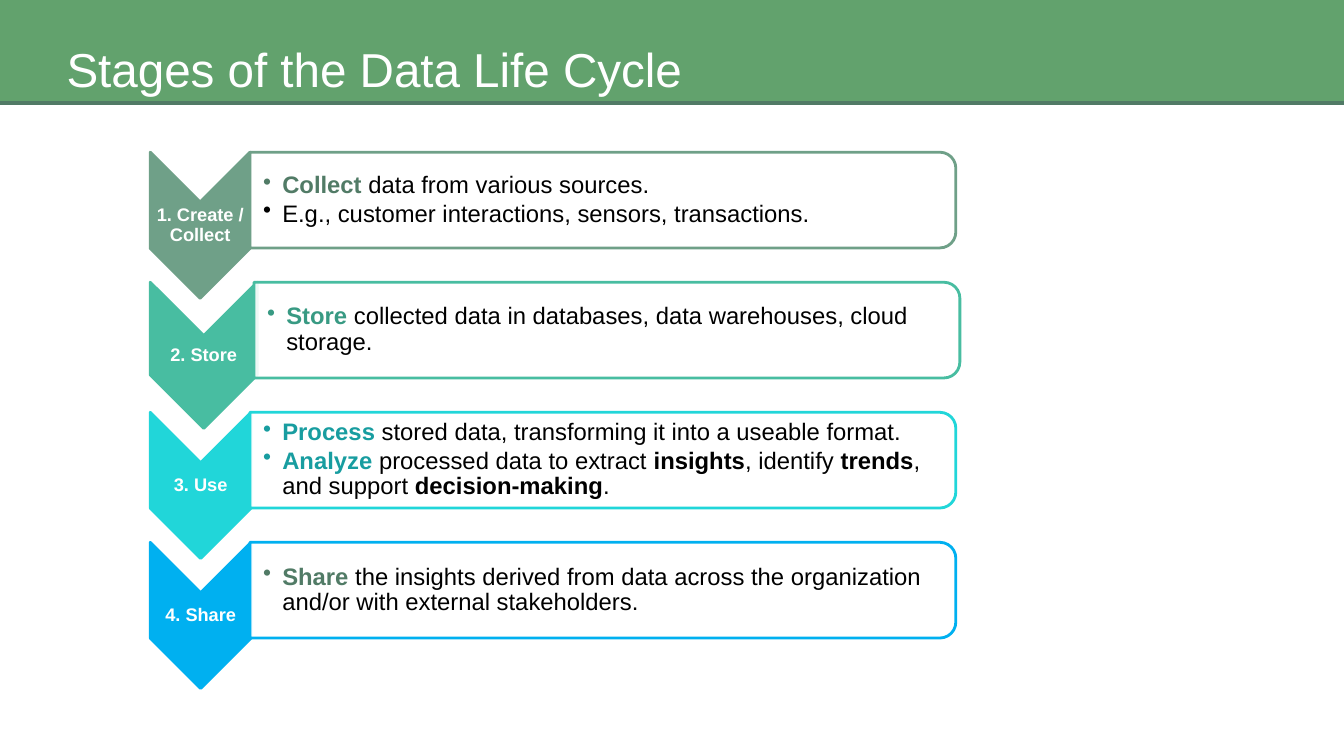
import pptx
import pptx.dml.color
import pptx.enum.shapes
import pptx.enum.text
import pptx.oxml
import pptx.oxml.ns
import pptx.util
import lxml.etree

Inches = pptx.util.Inches
Pt = pptx.util.Pt
RGBColor = pptx.dml.color.RGBColor
SHAPE = pptx.enum.shapes.MSO_SHAPE
qn = pptx.oxml.ns.qn

WHITE = RGBColor(0xFF, 0xFF, 0xFF)
BLACK = RGBColor(0x00, 0x00, 0x00)
HEADER_GREEN = RGBColor(0x62, 0xA2, 0x6D)
RULE_GREEN = RGBColor(0x51, 0x7A, 0x66)
SAGE = RGBColor(0x6F, 0xA0, 0x88)
MINT = RGBColor(0x48, 0xBD, 0xA1)
AQUA = RGBColor(0x21, 0xD6, 0xD9)
SKY = RGBColor(0x00, 0xB0, 0xF0)
DARK_SAGE = RGBColor(0x51, 0x7B, 0x66)
DARK_MINT = RGBColor(0x38, 0x9A, 0x83)
DARK_AQUA = RGBColor(0x18, 0x9D, 0xA0)

FIRST_TOP, STAGE_PITCH = 1.51, 1.29
CHEVRON_LEFT, CHEVRON_HEIGHT = 1.49, 1.45
CARD_WIDTH, CARD_HEIGHT = 7, 0.95

STAGES = [
    ("1. Create / Collect", SAGE, 0.99, [
        [("Collect", DARK_SAGE), (" data from various sources.", None)],
        [("E.g., customer interactions, sensors, transactions.", None)],
    ]),
    ("2. Store", MINT, 1.06, [
        [("Store", DARK_MINT),
         (" collected data in databases, data warehouses, cloud storage.", None)],
    ]),
    ("3. Use", AQUA, 1, [
        [("Process", DARK_AQUA),
         (" stored data, transforming it into a useable format.", None)],
        [("Analyze", DARK_AQUA), (" processed data to extract ", None),
         ("insights", BLACK), (", identify ", None), ("trends", BLACK),
         (", and support ", None), ("decision-making", BLACK), (".", None)],
    ]),
    ("4. Share", SKY, 1, [
        [("Share", DARK_SAGE),
         (" the insights derived from data across the organization"
          " and/or with external stakeholders.", None)],
    ]),
]


def add_text_box(page, left, top, width, height, inset=0.01, left_inset=None):
    box = page.shapes.add_textbox(
        Inches(left), Inches(top), Inches(width), Inches(height))
    frame = box.text_frame
    frame.word_wrap = True
    frame.vertical_anchor = pptx.enum.text.MSO_ANCHOR.MIDDLE
    frame.margin_top = frame.margin_right = frame.margin_bottom = Inches(inset)
    frame.margin_left = Inches(inset if left_inset is None else left_inset)
    return frame


def add_span(para, text, size, color, bold=False):
    span = para.add_run()
    span.text = text
    span.font.name = "Arial"
    span.font.size = Pt(size)
    span.font.bold = bold
    span.font.color.rgb = color


def add_filled_shape(page, kind, left, top, width, height, fill):
    shape = page.shapes.add_shape(
        kind, Inches(left), Inches(top), Inches(width), Inches(height))
    shape.shadow.inherit = False
    shape.fill.solid()
    shape.fill.fore_color.rgb = fill
    shape.line.fill.background()
    return shape


def add_turned_shape(page, kind, left, top, width, height, fill, line):
    shift = (width - height) / 2
    shape = add_filled_shape(
        page, kind, left + shift, top - shift, height, width, fill)
    shape.rotation = 90
    shape.line.color.rgb = line
    shape.line.width = Pt(2)
    return shape


def make_bullet(para):
    properties = para._p.get_or_add_pPr()
    properties.set("lvl", "1")
    properties.set("marL", str(Inches(0.19)))
    properties.set("indent", str(-Inches(0.19)))
    lxml.etree.SubElement(properties, qn("a:buChar")).set("char", "•")


def add_header(page, left, top, width, height):
    add_filled_shape(page, SHAPE.RECTANGLE, left, top, width, height, HEADER_GREEN)
    bottom = Inches(top + height - 0.01)
    rule = page.shapes.add_connector(
        pptx.enum.shapes.MSO_CONNECTOR.STRAIGHT,
        Inches(left), bottom, Inches(left + width), bottom)
    rule.line.color.rgb = RULE_GREEN
    rule.line.width = Pt(3.25)
    lxml.etree.SubElement(rule._element.spPr, qn("a:effectLst"))
    title = add_text_box(page, left + 0.72, top + 0.41, 12.01, 0.69, inset=0)
    add_span(title.paragraphs[0], "Stages of the Data Life Cycle", 34, WHITE)


def add_chevron(page, left, top, width, height, label, color):
    add_turned_shape(page, SHAPE.CHEVRON, left, top, width, height, color, color)
    frame = add_text_box(page, left, top + width / 2, width, height - width)
    para = frame.paragraphs[0]
    para.alignment = pptx.enum.text.PP_ALIGN.CENTER
    para.line_spacing = 0.9
    add_span(para, label, 13, WHITE, True)


def add_card(page, left, top, width, height, points, color):
    card = add_turned_shape(page, SHAPE.ROUND_2_SAME_RECTANGLE,
                            left, top, width, height, WHITE, color)
    white = card._element.spPr.find(qn("a:solidFill"))[0]
    lxml.etree.SubElement(white, qn("a:alpha")).set("val", "90000")
    frame = add_text_box(page, left, top + 0.05, width - 0.04, height - 0.1,
                         left_inset=0.13)
    for index, point in enumerate(points):
        para = frame.add_paragraph() if index else frame.paragraphs[0]
        make_bullet(para)
        para.line_spacing = 0.9
        para.space_after = Pt(2)
        for text, emphasis in point:
            add_span(para, text, 17, emphasis or BLACK, emphasis is not None)


def main():
    deck = pptx.Presentation()
    deck.slide_width = Inches(13.33)
    deck.slide_height = Inches(7.5)
    page = deck.slides.add_slide(deck.slide_layouts[6])
    add_header(page, -0.06, -0.08, 13.44, 1.11)
    for index, (label, color, chevron_width, points) in enumerate(STAGES):
        top = FIRST_TOP + index * STAGE_PITCH
        add_chevron(page, CHEVRON_LEFT, top, chevron_width, CHEVRON_HEIGHT,
                    label, color)
        card_left = 2.52 if chevron_width > 1 else 2.48
        add_card(page, card_left, top, CARD_WIDTH, CARD_HEIGHT, points, color)
    deck.save("out.pptx")


if __name__ == "__main__":
    main()
